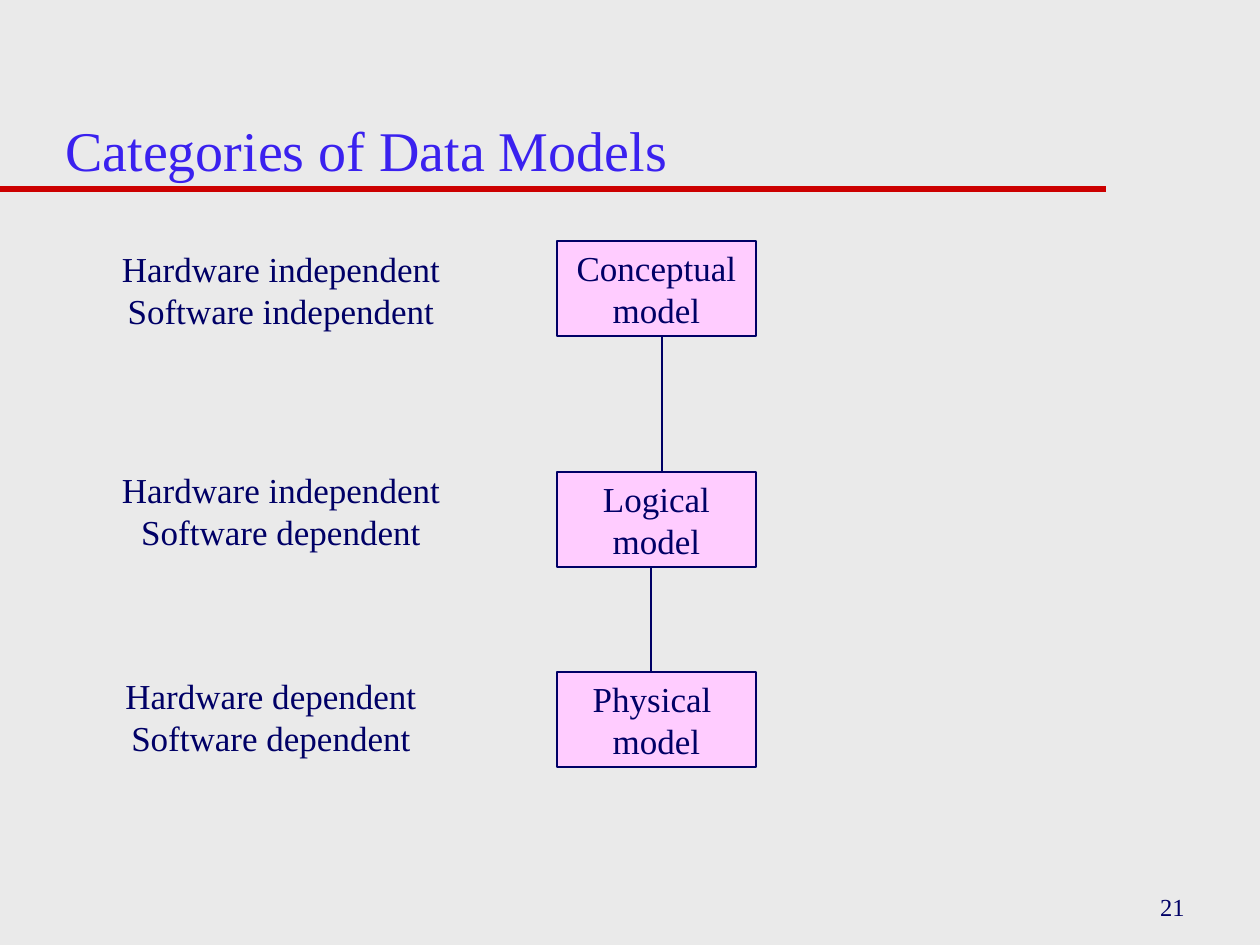
from lxml import etree
from pptx import Presentation
from pptx.dml.color import RGBColor
from pptx.enum.shapes import MSO_CONNECTOR, MSO_SHAPE
from pptx.enum.text import MSO_ANCHOR, PP_ALIGN
from pptx.oxml.ns import qn
from pptx.util import Emu, Pt

FONT = "Times New Roman"
BACKGROUND = RGBColor(0xEA, 0xEA, 0xEA)
RED = RGBColor(0xCC, 0x00, 0x00)
BLUE = RGBColor(0x3A, 0x21, 0xEF)
NAVY = RGBColor(0x00, 0x00, 0x66)
PINK = RGBColor(0xFF, 0xCC, 0xFF)

BOX_LEFT, BOX_WIDTH, BOX_HEIGHT = 557, 199, 95
MODELS = [
    (241, ["Conceptual", "model"]),
    (472, ["Logical", "model"]),
    (672, ["Physical ", "model"]),
]
LINK_XS = [662, 651]
LABELS = [
    (106, 241, 350, ["Hardware independent", "Software independent"]),
    (106, 462, 350, ["Hardware independent", "Software dependent"]),
    (110, 668, 322, ["Hardware dependent", "Software dependent"]),
]


def px(n):
    """Turn pixels into EMU."""
    return Emu(round(n * 914400 / 126))


def write(sp, lines, size=20, color=NAVY, align=PP_ALIGN.CENTER,
          anchor=MSO_ANCHOR.MIDDLE, wrap=False):
    """Put one paragraph per line into a shape."""
    tf = sp.text_frame
    tf.word_wrap = wrap
    tf.vertical_anchor = anchor
    tf.text = "\n".join(lines)
    for p in tf.paragraphs:
        p.alignment = align
        p.font.name = FONT
        p.font.size = Pt(size)
        p.font.color.rgb = color


def add_text(s, left, top, width, height, lines, **style):
    """Add a text box."""
    sp = s.shapes.add_textbox(px(left), px(top), px(width), px(height))
    write(sp, lines, **style)


def add_model(s, top, lines):
    """Add a model box."""
    sp = s.shapes.add_shape(MSO_SHAPE.FLOWCHART_PROCESS, px(BOX_LEFT), px(top),
                            px(BOX_WIDTH), px(BOX_HEIGHT))
    sp.shadow.inherit = False
    sp.fill.solid()
    sp.fill.fore_color.rgb = PINK
    sp.line.color.rgb = NAVY
    sp.line.width = Pt(0.75)
    write(sp, lines)


def add_line(s, x1, y1, x2, y2, color=NAVY, width=0.75):
    """Add a straight line without a shadow."""
    sp = s.shapes.add_connector(MSO_CONNECTOR.STRAIGHT,
                                px(x1), px(y1), px(x2), px(y2))
    sp.line.color.rgb = color
    sp.line.width = Pt(width)
    etree.SubElement(sp.element.spPr, qn("a:effectLst"))


def main():
    """Build the slide and save it."""
    prs = Presentation()
    prs.slide_width, prs.slide_height = px(1260), px(945)
    s = prs.slides.add_slide(prs.slide_layouts[6])
    s.background.fill.solid()
    s.background.fill.fore_color.rgb = BACKGROUND

    add_line(s, 0, 189, 1106, 189, RED, 4)
    add_text(s, 53, 37, 1071, 152, ["Categories of Data Models"], size=32,
             color=BLUE, align=PP_ALIGN.LEFT, anchor=MSO_ANCHOR.BOTTOM, wrap=True)
    add_text(s, 903, 882, 294, 50, ["21"], size=14, align=PP_ALIGN.RIGHT)

    for top, lines in MODELS:
        add_model(s, top, lines)
    for x, (upper, _), (lower, _) in zip(LINK_XS, MODELS, MODELS[1:]):
        add_line(s, x, upper + BOX_HEIGHT, x, lower)
    for left, top, width, lines in LABELS:
        add_text(s, left, top, width, 97, lines, anchor=MSO_ANCHOR.TOP)

    prs.save("out.pptx")


if __name__ == "__main__":
    main()
